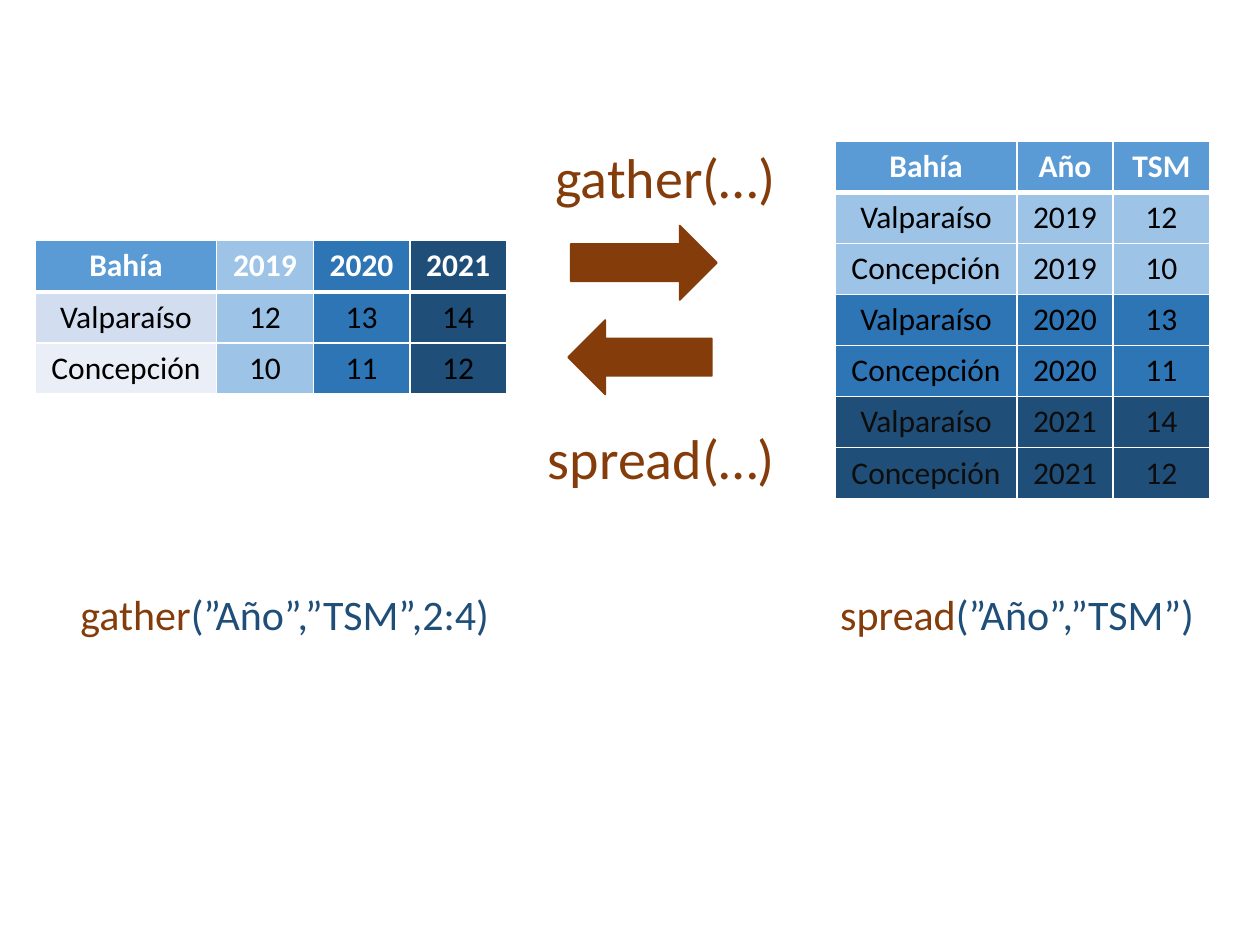
from lxml import etree
from pptx import Presentation
from pptx.dml.color import RGBColor
from pptx.enum.shapes import MSO_SHAPE
from pptx.enum.text import MSO_AUTO_SIZE, PP_ALIGN
from pptx.oxml.ns import qn
from pptx.util import Inches, Pt

CENTER = PP_ALIGN.CENTER
FIT_SHAPE = MSO_AUTO_SIZE.SHAPE_TO_FIT_TEXT
RIGHT_ARROW, LEFT_ARROW = MSO_SHAPE.RIGHT_ARROW, MSO_SHAPE.LEFT_ARROW

WHITE = RGBColor(0xFF, 0xFF, 0xFF)
BLACK = RGBColor(0x00, 0x00, 0x00)
NEAR_BLACK = RGBColor(0x0D, 0x0D, 0x0D)
BROWN = RGBColor(0x84, 0x3C, 0x0B)
HEADER_BLUE = RGBColor(0x5B, 0x9B, 0xD5)
PALE_BLUE = RGBColor(0xD2, 0xDE, 0xEF)
PALEST_BLUE = RGBColor(0xEA, 0xEF, 0xF7)
LIGHT_BLUE = RGBColor(0x9D, 0xC3, 0xE6)
MID_BLUE = RGBColor(0x2E, 0x75, 0xB6)
DARK_BLUE = RGBColor(0x1F, 0x4E, 0x79)

BAYS = ["Valparaíso", "Concepción"]
YEAR_FILLS = {"2019": LIGHT_BLUE, "2020": MID_BLUE, "2021": DARK_BLUE}
TEMPERATURES = {"2019": ["12", "10"], "2020": ["13", "11"], "2021": ["14", "12"]}


class SlideBuilder:
    font_name = "Calibri"
    table_size = 18
    bay_width = 1.44

    def __init__(self, slide):
        self.slide = slide

    def style(self, font, size, color, bold=False):
        font.name = self.font_name
        font.size = Pt(size)
        font.color.rgb = color
        font.bold = bold

    def borders(self, cell, top, bottom):
        properties = cell._tc.get_or_add_tcPr()
        for side, points in (("L", 1), ("R", 1), ("T", top), ("B", bottom)):
            line = etree.SubElement(properties, qn(f"a:ln{side}"), w=str(Pt(points)))
            fill = etree.SubElement(line, qn("a:solidFill"))
            etree.SubElement(fill, qn("a:srgbClr"), val=str(WHITE))

    def table(self, left, top, width, height, rows):
        """Each row is a list of (text, fill, text color)."""
        row_count, column_count = len(rows), len(rows[0])
        table = self.slide.shapes.add_table(
            row_count, column_count,
            Inches(left), Inches(top), Inches(width), Inches(height)).table
        table.horz_banding = False
        value_width = (width - self.bay_width) / (column_count - 1)
        for index, column in enumerate(table.columns):
            column.width = Inches(value_width if index else self.bay_width)
        for row_index, row in enumerate(rows):
            table.rows[row_index].height = Inches(height / row_count)
            for column_index, (text, fill, color) in enumerate(row):
                cell = table.cell(row_index, column_index)
                self.borders(cell, 3 if row_index == 1 else 1, 3 if row_index == 0 else 1)
                cell.fill.solid()
                cell.fill.fore_color.rgb = fill
                cell.text = text
                para = cell.text_frame.paragraphs[0]
                para.alignment = CENTER
                self.style(para.font, self.table_size, color, row_index == 0)

    def text(self, left, top, width, height, size, *spans):
        """Each span is a pair of (text, color)."""
        box = self.slide.shapes.add_textbox(
            Inches(left), Inches(top), Inches(width), Inches(height))
        box.text_frame.word_wrap = False
        box.text_frame.auto_size = FIT_SHAPE
        para = box.text_frame.paragraphs[0]
        for words, color in spans:
            span = para.add_run()
            span.text = words
            self.style(span.font, size, color)

    def arrow(self, kind, left, top, width, height):
        arrow = self.slide.shapes.add_shape(
            kind, Inches(left), Inches(top), Inches(width), Inches(height))
        arrow.shadow.inherit = False
        arrow.fill.solid()
        arrow.fill.fore_color.rgb = BROWN
        arrow.line.color.rgb = BROWN
        arrow.line.width = Pt(1)


def wide_rows():
    header = [("Bahía", HEADER_BLUE, WHITE)]
    header += [(year, fill, WHITE) for year, fill in YEAR_FILLS.items()]
    rows = [header]
    for index, (bay, bay_fill) in enumerate(zip(BAYS, (PALE_BLUE, PALEST_BLUE))):
        values = [(TEMPERATURES[year][index], fill, BLACK)
                  for year, fill in YEAR_FILLS.items()]
        rows.append([(bay, bay_fill, BLACK)] + values)
    return rows


def long_rows():
    rows = [[(name, HEADER_BLUE, WHITE) for name in ("Bahía", "Año", "TSM")]]
    for year, fill in YEAR_FILLS.items():
        color = NEAR_BLACK if fill == DARK_BLUE else BLACK
        for bay, value in zip(BAYS, TEMPERATURES[year]):
            rows.append([(text, fill, color) for text in (bay, year, value)])
    return rows


def main():
    deck = Presentation()
    deck.slide_width, deck.slide_height = Inches(10), Inches(7.5)
    page = SlideBuilder(deck.slides.add_slide(deck.slide_layouts[6]))

    # Wide and long versions of the same data
    page.table(0.28, 1.91, 3.74, 1.22, wide_rows())
    page.table(6.63, 1.12, 2.97, 2.84, long_rows())

    # Example calls under the tables
    page.text(0.54, 4.62, 3.47, 0.5, 24,
              ("gather", BROWN), ("(”Año”,”TSM”,2:4)", DARK_BLUE))
    page.text(6.57, 4.62, 3.09, 0.5, 24,
              ("spread", BROWN), ("(”Año”,”TSM”)", DARK_BLUE))

    # Arrows between the tables, with the function names
    page.arrow(RIGHT_ARROW, 4.53, 1.79, 1.16, 0.59)
    page.arrow(LEFT_ARROW, 4.51, 2.54, 1.14, 0.59)
    page.text(4.31, 1.08, 1.97, 0.64, 32, ("gather(…)", BROWN))
    page.text(4.25, 3.31, 2.02, 0.64, 32, ("spread(…)", BROWN))

    deck.save("out.pptx")


if __name__ == "__main__":
    main()
